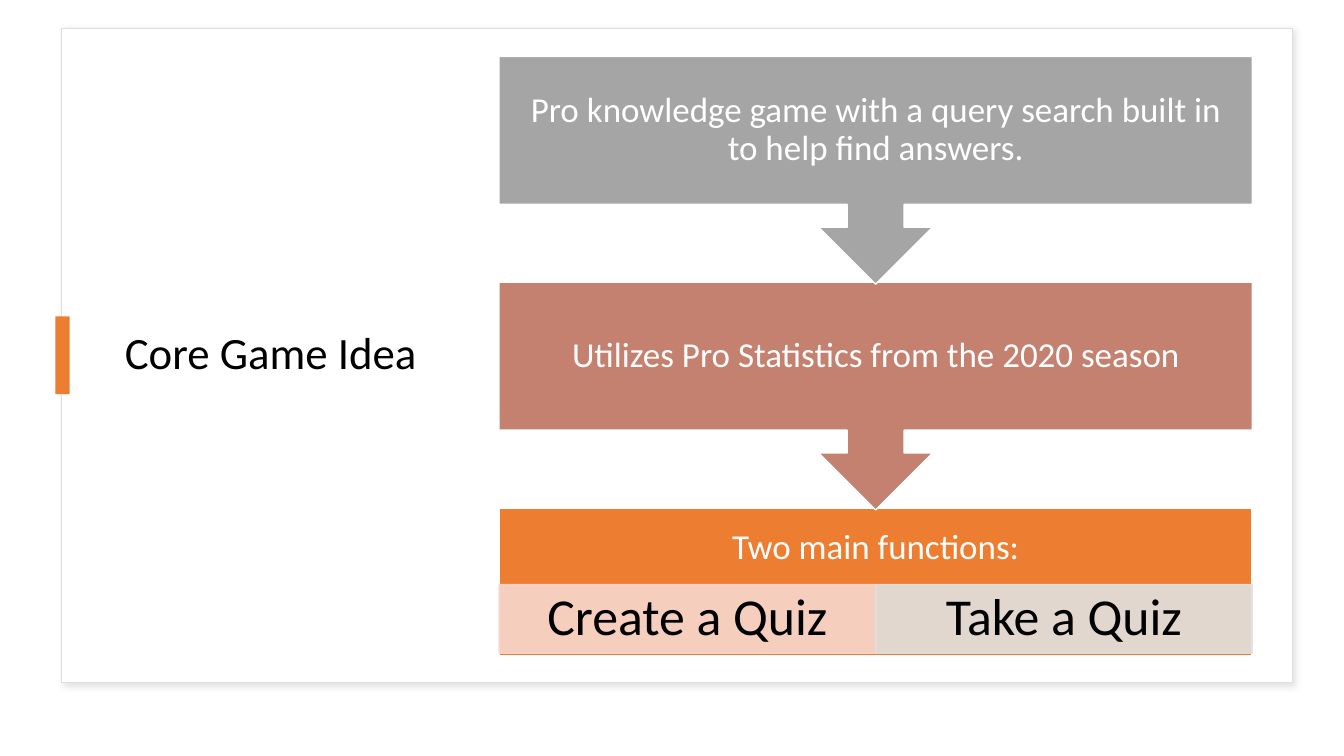
from lxml import etree
from pptx import Presentation
from pptx.dml.color import RGBColor
from pptx.enum.shapes import MSO_SHAPE
from pptx.enum.text import MSO_ANCHOR, PP_ALIGN
from pptx.oxml.ns import qn
from pptx.util import Inches, Pt

RECTANGLE = MSO_SHAPE.RECTANGLE
CALLOUT = MSO_SHAPE.DOWN_ARROW_CALLOUT
MIDDLE = MSO_ANCHOR.MIDDLE
LEFT, CENTER = PP_ALIGN.LEFT, PP_ALIGN.CENTER

FONT = "Calibri"
WHITE, BLACK, ORANGE = "FFFFFF", "000000", "ED7D31"
FLOW_LEFT, FLOW_TOP, FLOW_WIDTH = 4.95, 0.56, 7.47
STEP_HEIGHT, STEP_PITCH = 2.26, 2.24
FUNCTIONS_HEIGHT, TILE_TOP, TILE_HEIGHT = 1.47, 5.8, 0.68
STEPS = [
    ("Pro knowledge game with a query search built in to help find answers.", "A5A5A5"),
    ("Utilizes Pro Statistics from the 2020 season", "C48170"),
]
TILES = [("Create a Quiz", "F8D7CE"), ("Take a Quiz", "E1E1E1")]


def color(value):
    """Turn a hex string into a colour."""
    return RGBColor.from_string(value)


def add_box(page, kind, left, top, width, height, fill, line=None):
    """Add a filled preset shape with an optional one-point outline."""
    box = page.shapes.add_shape(
        kind, Inches(left), Inches(top), Inches(width), Inches(height))
    box.shadow.inherit = False
    box.fill.solid()
    box.fill.fore_color.rgb = color(fill)
    if line:
        box.line.color.rgb = color(line)
        box.line.width = Pt(1)
    else:
        box.line.fill.background()
    return box


def write(box, text, size, ink, align=CENTER, insets=(0.1, 0.05, 0.1, 0.05)):
    """Write one vertically centred paragraph into a shape."""
    frame = box.text_frame
    frame.word_wrap = True
    frame.vertical_anchor = MIDDLE
    (frame.margin_left, frame.margin_top,
     frame.margin_right, frame.margin_bottom) = map(Inches, insets)
    para = frame.paragraphs[0]
    para.alignment = align
    para.line_spacing = 0.9
    span = para.add_run()
    span.text = text
    span.font.name = FONT
    span.font.size = Pt(size)
    span.font.color.rgb = color(ink)


def set_opacity(box, percent):
    """Make the fill and outline of a shape partly transparent."""
    for tone in box._element.spPr.iter(qn("a:srgbClr")):
        etree.SubElement(tone, qn("a:alpha"), val=str(percent * 1000))


def add_soft_shadow(box):
    """Give a shape a faint shadow to its lower right."""
    effects = box._element.spPr.find(qn("a:effectLst"))
    shadow = etree.SubElement(
        effects, qn("a:outerShdw"), blurRad=str(Pt(4)), dist=str(Pt(3)),
        dir=str(45 * 60000), algn="tl", rotWithShape="0")
    tone = etree.SubElement(shadow, qn("a:srgbClr"), val="C5C3C3")
    etree.SubElement(tone, qn("a:alpha"), val="50000")


def add_title(page, text):
    """Add the title text beside the flow."""
    box = page.shapes.add_textbox(
        Inches(1.14), Inches(0.55), Inches(3.27), Inches(5.95))
    write(box, text, 32, BLACK, LEFT)


def add_functions(page, top):
    """Add the last block of the flow with its row of tiles."""
    block = add_box(page, RECTANGLE, FLOW_LEFT, top, FLOW_WIDTH,
                    FUNCTIONS_HEIGHT, ORANGE, WHITE)
    write(block, "Two main functions:", 25, WHITE,
          insets=(0.19, 0.19, 0.19, 0.19 + TILE_HEIGHT))
    width = FLOW_WIDTH / len(TILES)
    for index, (text, fill) in enumerate(TILES):
        tile = add_box(page, RECTANGLE, FLOW_LEFT + index * width, TILE_TOP,
                       width, TILE_HEIGHT, fill, fill)
        set_opacity(tile, 90)
        write(tile, text, 37, BLACK, insets=(0.29, 0.05, 0.29, 0.05))


def add_flow(page):
    """Add the flow from the last block up to the first step."""
    add_functions(page, FLOW_TOP + len(STEPS) * STEP_PITCH)
    for index, (text, fill) in reversed(list(enumerate(STEPS))):
        step = add_box(page, CALLOUT, FLOW_LEFT, FLOW_TOP + index * STEP_PITCH,
                       FLOW_WIDTH, STEP_HEIGHT, fill, WHITE)
        write(step, text, 25, WHITE, insets=(0.19,) * 4)


def main():
    """Build the slide and save it."""
    deck = Presentation()
    deck.slide_width, deck.slide_height = Inches(13.33), Inches(7.5)
    page = deck.slides.add_slide(deck.slide_layouts[6])
    card = add_box(page, RECTANGLE, 0.61, 0.28, 12.21, 6.49, WHITE, "DEDEDE")
    add_soft_shadow(card)
    add_title(page, "Core Game Idea")
    add_box(page, RECTANGLE, 0.55, 3.14, 0.14, 0.77, ORANGE)
    add_flow(page)
    deck.save("out.pptx")


if __name__ == "__main__":
    main()
